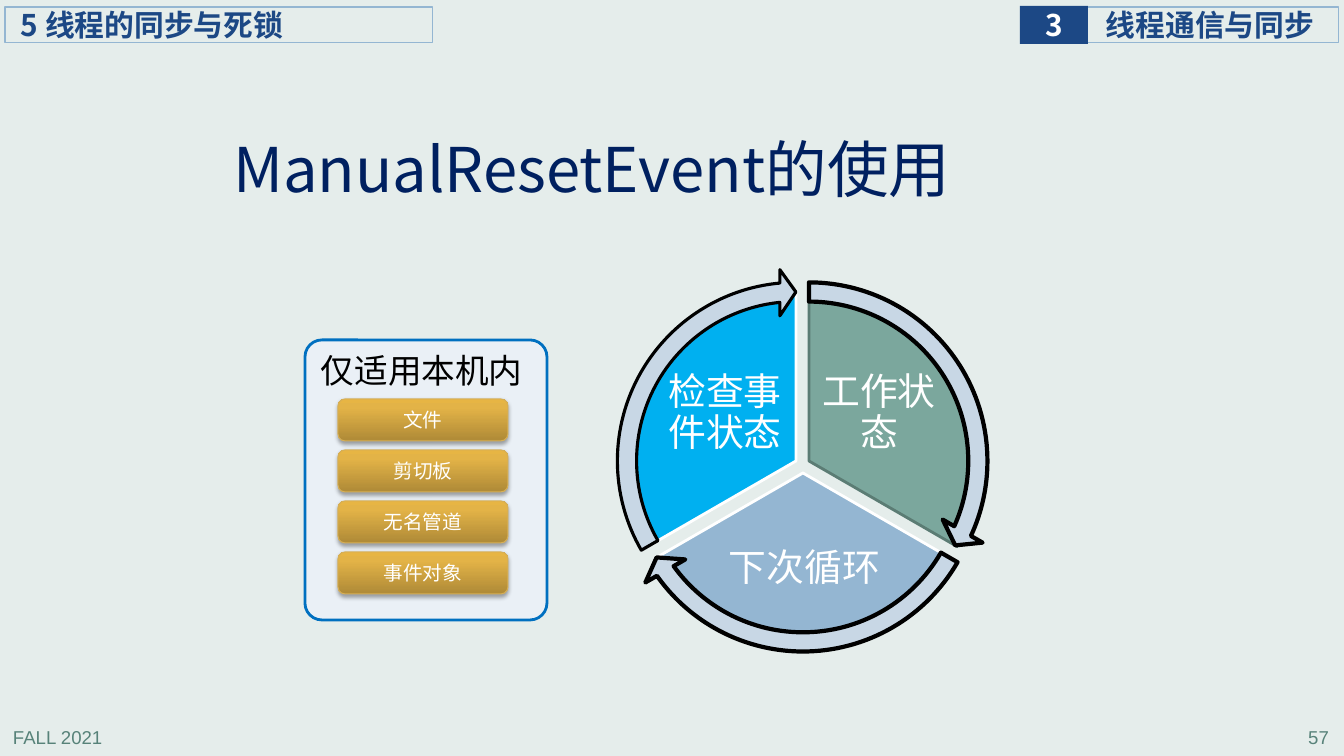
from lxml import etree
from pptx import Presentation
from pptx import util as u
from pptx.dml.color import RGBColor
from pptx.enum import shapes, text
from pptx.oxml import parse_xml
from pptx.oxml.ns import nsdecls, qn

PX = 914400 / 100.8
NOTO = "Noto Sans CJK SC"
LEFT, CENTER, RIGHT = text.PP_ALIGN.LEFT, text.PP_ALIGN.CENTER, text.PP_ALIGN.RIGHT
GOLD = [(0, "AF8A37"), (80, "E3B347"), (100, "E7B544")]


def px(n):
    """Turn whole pixels into EMU."""
    return u.Emu(round(n * PX))


def rgb(color):
    """Turn a hex string into a colour."""
    return RGBColor.from_string(color)


class Deck:
    """Holds the style and the current slide."""

    def __init__(self, width, height, background):
        """Start a presentation with one title-only slide."""
        self.prs = Presentation()
        self.prs.slide_width, self.prs.slide_height = px(width), px(height)
        self.s = self.prs.slides.add_slide(self.prs.slide_layouts[5])
        fill = self.s.background.fill
        fill.solid()
        fill.fore_color.rgb = rgb(background)

    def add_text(self, sp, words, size, color, font=NOTO, bold=False, align=LEFT,
                 inset=(10, 5, 10, 5), wrap=True, spacing=None):
        """Put one vertically centred paragraph into a shape."""
        tf = sp.text_frame
        tf.word_wrap = wrap
        tf.auto_size = text.MSO_AUTO_SIZE.NONE
        tf.vertical_anchor = text.MSO_ANCHOR.MIDDLE
        tf.margin_left, tf.margin_top, tf.margin_right, tf.margin_bottom = map(px, inset)
        p = tf.paragraphs[0]
        p.alignment = align
        if spacing:
            p.line_spacing = spacing
        r = p.add_run()
        r.text = words
        r.font.size, r.font.bold, r.font.name = u.Pt(size), bold, font
        r.font.color.rgb = rgb(color)
        ea = etree.SubElement(r.font._element, qn("a:ea"))
        ea.set("typeface", NOTO)

    def title(self, box, words, size, color):
        """Move and format the title placeholder."""
        sp = self.s.shapes.title
        sp.left, sp.top, sp.width, sp.height = map(px, box)
        self.add_text(sp, words, size, color, inset=(8, 4, 8, 4), spacing=0.9)

    def label(self, box, words, size, color, **style):
        """Add a text box."""
        sp = self.s.shapes.add_textbox(*map(px, box))
        self.add_text(sp, words, size, color, **style)

    def shape(self, kind, box, fill=None, line=None, width=0.75, adj=()):
        """Add a preset shape with a plain fill and line."""
        sp = self.s.shapes.add_shape(kind, *map(px, box))
        sp.shadow.inherit = False
        if fill:
            sp.fill.solid()
            sp.fill.fore_color.rgb = rgb(fill)
        else:
            sp.fill.background()
        if line:
            sp.line.color.rgb = rgb(line)
            sp.line.width = u.Pt(width)
        else:
            sp.line.fill.background()
        for i, value in enumerate(adj):
            sp.adjustments[i] = value
        return sp

    def button(self, box, words):
        """Add a gold gradient button with a soft shadow."""
        sp = self.shape(shapes.MSO_SHAPE.ROUNDED_RECTANGLE, box, GOLD[0][1], "D6AF57")
        spPr = sp._element.spPr
        stops = "".join(f'<a:gs pos="{pos * 1000}"><a:srgbClr val="{color}"/></a:gs>'
                        for pos, color in GOLD)
        spPr.replace(spPr.find(qn("a:solidFill")), parse_xml(
            f'<a:gradFill {nsdecls("a")} rotWithShape="1"><a:gsLst>{stops}</a:gsLst>'
            '<a:lin ang="16200000" scaled="0"/></a:gradFill>'))
        spPr.find(qn("a:effectLst")).append(parse_xml(
            f'<a:outerShdw {nsdecls("a")} blurRad="{u.Pt(3.1)}" dist="{u.Pt(1.8)}" '
            'dir="5400000" rotWithShape="0"><a:srgbClr val="000000">'
            '<a:alpha val="35000"/></a:srgbClr></a:outerShdw>'))
        self.add_text(sp, words, 14, "FFFFFF", align=CENTER)

    def sector(self, left, top, start, fill, line):
        """Add a third of the cycle, starting at an angle in degrees."""
        adj = start * 0.6, (start + 120) % 360 * 0.6
        self.shape(shapes.MSO_SHAPE.PIE, (left, top, 342, 342), fill, line, 2, adj)

    def cycle_arrow(self, left, top, start, width):
        """Add the curved arrow that runs round a sector."""
        head = 5.46
        end = (start + 120 - head) % 360
        adj = 0.05, head * 0.6, end * 0.6, start * 0.6, 0.06
        self.shape(shapes.MSO_SHAPE.CIRCULAR_ARROW, (left - 21, top - 21, 384, 384),
                   "C8D7E5", "000000", width, adj)


def main():
    """Build the slide."""
    d = Deck(1344, 756, "E5EDEB")
    rect = shapes.MSO_SHAPE.RECTANGLE

    d.label((3, 722, 280, 31), "FALL 2021", 13.3, "578279", font="Arial")
    d.label((1059, 722, 280, 31), "57", 13.3, "578279", font="Arial", align=RIGHT)

    header = dict(size=21.3, bold=True)
    sp = d.shape(rect, (1087, 7, 252, 36), line="94B6D2")
    d.add_text(sp, "线程通信与同步", color="1C4885", inset=(19, 0, 0, 0), **header)
    sp = d.shape(rect, (1020, 6, 68, 38), "1C4885")
    d.add_text(sp, "3", color="FFFFFF", align=CENTER, inset=(0, 0, 0, 0), wrap=False, **header)
    sp = d.shape(rect, (5, 7, 428, 36), line="94B6D2")
    d.add_text(sp, "5 线程的同步与死锁", color="1C4885", inset=(16, 0, 0, 0), **header)

    d.title((225, 131, 850, 84), "ManualResetEvent的使用", 44, "002060")

    cycle = [
        (638, 290, 270, "7BA79D", "5B7C74", 3, "工作状态", (818, 363, 122, 102)),
        (632, 302, 30, "94B6D2", "FFFFFF", 3, "下次循环", (713, 524, 183, 90)),
        (625, 290, 150, "00B0F0", "FFFFFF", 2.25, "检查事件状态", (664, 363, 122, 102)),
    ]
    for left, top, start, fill, line, _, words, box in cycle:
        d.sector(left, top, start, fill, line)
        d.label(box, words, 27, "FFFFFF", font="Calibri", align=CENTER,
                inset=(4, 4, 4, 4), spacing=0.9)
    for left, top, start, _, _, width, _, _ in cycle:
        d.cycle_arrow(left, top, start, width)

    d.shape(shapes.MSO_SHAPE.ROUNDED_RECTANGLE, (305, 340, 242, 280),
            "EAF0F6", "0070C0", 2, [0.07])
    d.label((311, 345, 224, 50), "仅适用本机内", 24, "000000", wrap=False)
    for i, words in enumerate(["文件", "剪切板", "无名管道", "事件对象"]):
        d.button((338, 399 + 51 * i, 170, 42), words)

    d.prs.save("out.pptx")


if __name__ == "__main__":
    main()
